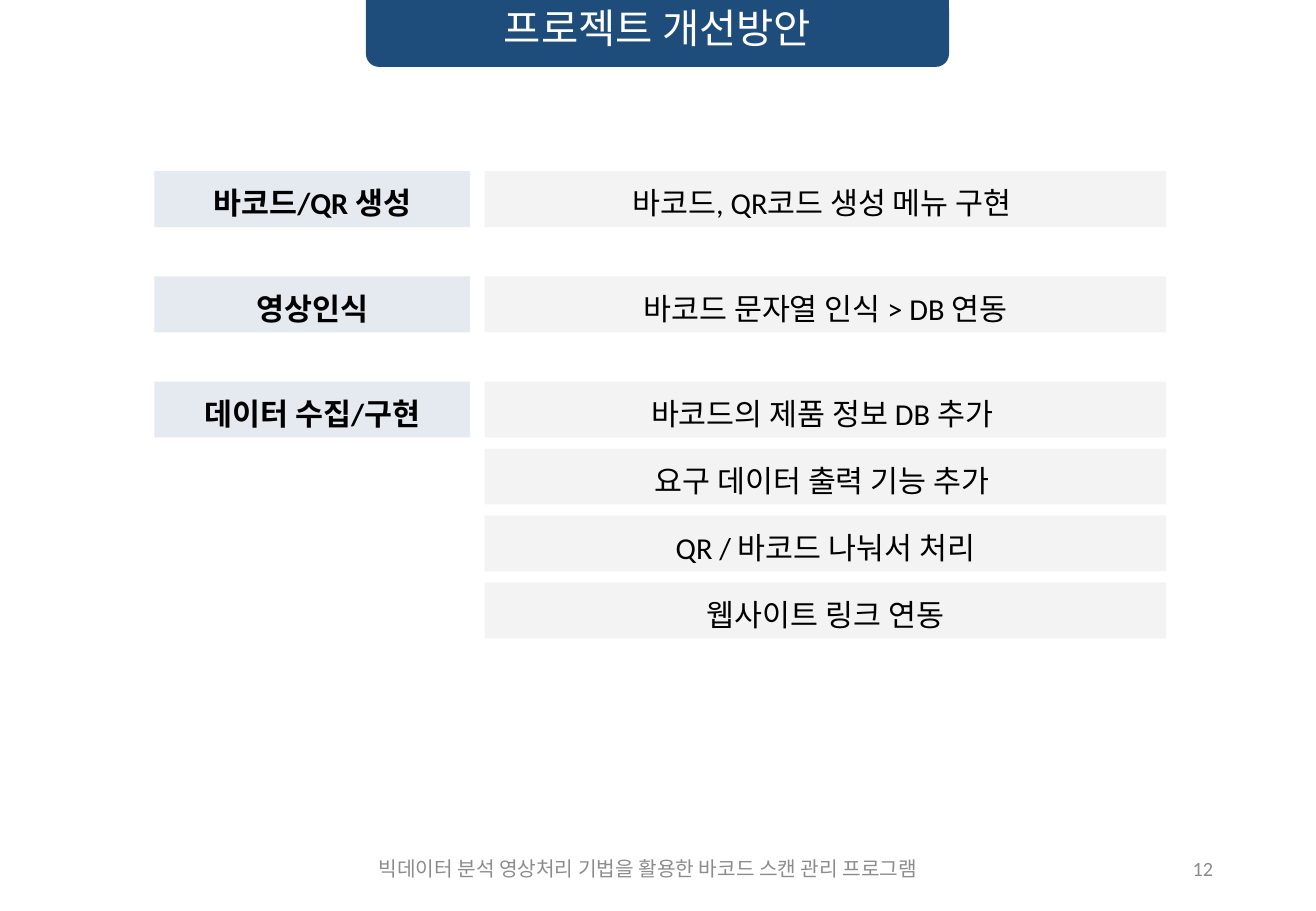
from dataclasses import dataclass

from pptx import Presentation
from pptx.dml.color import RGBColor
from pptx.enum import shapes, text
from pptx.util import Cm, Pt


@dataclass(frozen=True)
class Theme:
    navy: str = "1E4D7C"
    label_fill: str = "E4EAF0"
    detail_fill: str = "F3F3F3"
    white: str = "FFFFFF"
    black: str = "000000"
    grey: str = "8C8C8C"
    title_size: int = 24
    body_size: int = 18
    footer_size: int = 12
    title_font: str = "Arial"
    body_font: str = "Calibri"


theme = Theme()


def add_block(kind, left, top, width, height, fill):
    block = page.shapes.add_shape(kind, Cm(left), Cm(top), Cm(width), Cm(height))
    block.shadow.inherit = False
    block.fill.solid()
    block.fill.fore_color.rgb = RGBColor.from_string(fill)
    block.line.fill.background()
    return block


def write(box, words, size, color, font=theme.body_font, bold=False,
          align=text.PP_ALIGN.CENTER, spacing=1.0):
    frame = box.text_frame
    frame.word_wrap = True
    frame.vertical_anchor = text.MSO_ANCHOR.MIDDLE
    para = frame.paragraphs[0]
    para.alignment = align
    para.line_spacing = spacing
    span = para.add_run()
    span.text = words
    span.font.name = font
    span.font.size = Pt(size)
    span.font.bold = bold
    span.font.color.rgb = RGBColor.from_string(color)


deck = Presentation()
deck.slide_width, deck.slide_height = Cm(27.51), Cm(19.05)
page = deck.slides.add_slide(deck.slide_layouts.get_by_name("Title Only"))

# Banner behind the title
banner_area = (7.65, -0.25, 12.19, 1.65)
banner = add_block(shapes.MSO_SHAPE.ROUNDED_RECTANGLE, *banner_area, theme.navy)
title = page.shapes.title
title.left, title.top, title.width, title.height = map(Cm, banner_area)
write(title, "프로젝트 개선방안", theme.title_size, theme.white, theme.title_font)
page.shapes._spTree.append(title._element)

# Each topic has a label on the left and its improvements on the right
topics = [
    ("바코드/QR 생성", ["바코드, QR코드 생성 메뉴 구현 "]),
    ("영상인식", ["바코드 문자열 인식 > DB 연동"]),
    ("데이터 수집/구현", [
        "바코드의 제품 정보 DB 추가 ",
        "요구 데이터 출력 기능 추가 ",
        "QR / 바코드 나눠서 처리",
        "웹사이트 링크 연동",
    ]),
]
first_top, topic_step, detail_step, row_height = 3.58, 2.2, 1.4, 1.17
for topic_index, (label, details) in enumerate(topics):
    topic_top = first_top + topic_index * topic_step
    box = add_block(shapes.MSO_SHAPE.RECTANGLE, 3.23, topic_top, 6.6, row_height,
                    theme.label_fill)
    write(box, label, theme.body_size, theme.black, bold=True, spacing=1.2)
    for detail_index, detail in enumerate(details):
        box = add_block(shapes.MSO_SHAPE.RECTANGLE, 10.13,
                        topic_top + detail_index * detail_step,
                        14.25, row_height, theme.detail_fill)
        write(box, detail, theme.body_size, theme.black, spacing=1.2)

# Footer and page number
footers = [
    (6.88, 13.34, "빅데이터 분석 영상처리 기법을 활용한 바코드 스캔 관리 프로그램",
     text.PP_ALIGN.CENTER),
    (20.96, 4.65, "12", text.PP_ALIGN.RIGHT),
]
for left, width, words, align in footers:
    box = page.shapes.add_textbox(Cm(left), Cm(17.65), Cm(width), Cm(1.02))
    write(box, words, theme.footer_size, theme.grey, align=align)

deck.save("out.pptx")
